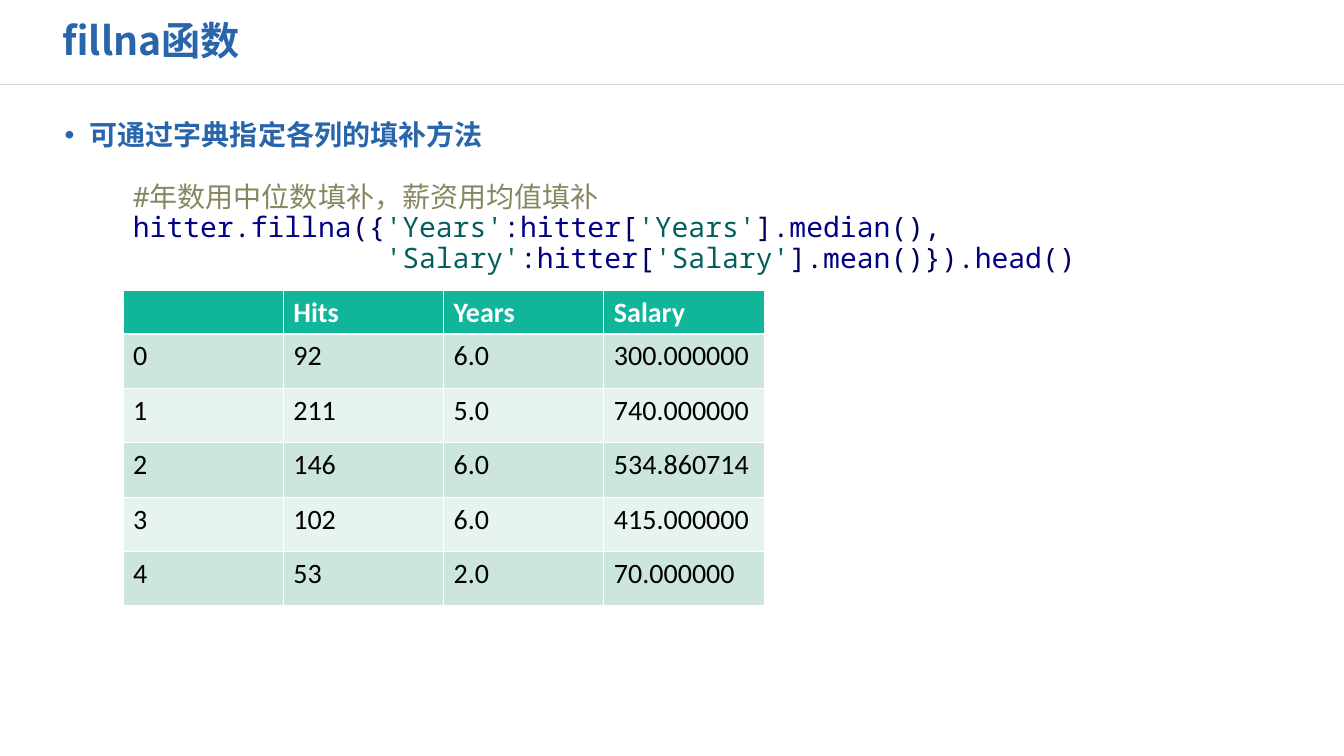
"""Build the slide on the fillna function, with its code sample and result table."""
from lxml.etree import SubElement
from pptx import Presentation
from pptx.dml.color import RGBColor
from pptx.enum.shapes import MSO_CONNECTOR
from pptx.enum.text import MSO_ANCHOR, MSO_AUTO_SIZE, PP_ALIGN
from pptx.oxml.ns import qn
from pptx.util import Inches, Pt

COLORS = {
    "heading": "2965AB", "divider": "D9D9D9", "comment": "87875F",
    "name": "000087", "string": "005F5F", "punctuation": "00005F",
    "header": "11B59A", "band_dark": "CCE5DE", "band_light": "E7F3EF",
    "white": "FFFFFF", "black": "000000",
}
CJK_FONT = "Noto Sans CJK SC"
CODE_LINES = [
    ["#年数用中位数填补，薪资用均值填补"],
    ["hitter", ".", "fillna", "({", "'Years'", ":", "hitter", "[", "'Years'", "].", "median", "(),"],
    ["               ", "'Salary'", ":", "hitter", "[", "'Salary'", "].", "mean", "()}).", "head", "()"],
]
TABLE_ROWS = [
    ["", "Hits", "Years", "Salary"],
    ["0", "92", "6.0", "300.000000"],
    ["1", "211", "5.0", "740.000000"],
    ["2", "146", "6.0", "534.860714"],
    ["3", "102", "6.0", "415.000000"],
    ["4", "53", "2.0", "70.000000"],
]


def color(name):
    return RGBColor.from_string(COLORS[name])


def set_font(paragraph, font_name, size, color_name=None, bold=False):
    font = paragraph.font
    font.name, font.size, font.bold = font_name, Pt(size), bold
    if color_name:
        font.color.rgb = color(color_name)
    properties = paragraph._p.pPr.find(qn("a:defRPr"))
    SubElement(properties, qn("a:ea"), typeface=CJK_FONT)


presentation = Presentation()
presentation.slide_width, presentation.slide_height = Inches(13.33), Inches(7.5)
slide = presentation.slides.add_slide(presentation.slide_layouts[1])

divider = slide.shapes.add_connector(
    MSO_CONNECTOR.STRAIGHT, Inches(0), Inches(0.84), Inches(13.33), Inches(0.84))
divider.line.color.rgb = color("divider")
divider.line.width = Pt(1)
SubElement(divider._element.spPr, qn("a:effectLst"))

title, body = slide.shapes.title, slide.placeholders[1]
headings = [
    (title, "fillna函数", 28, MSO_ANCHOR.MIDDLE, (0.52, 0.13, 5.32, 0.58)),
    (body, "可通过字典指定各列的填补方法", 20, MSO_ANCHOR.TOP, (0.54, 1.15, 8.17, 5.35)),
]
for shape, text, size, anchor, box in headings:
    shape.left, shape.top, shape.width, shape.height = map(Inches, box)
    frame = shape.text_frame
    frame.text = text
    frame.auto_size = MSO_AUTO_SIZE.NONE
    frame.vertical_anchor = anchor
    paragraph = frame.paragraphs[0]
    paragraph.alignment = PP_ALIGN.LEFT
    paragraph.line_spacing = 0.9
    paragraph.space_before = Pt(0)
    if shape is body:
        properties = paragraph._p.get_or_add_pPr()
        properties.set("marL", str(Inches(0.25)))
        properties.set("indent", str(Inches(-0.25)))
        SubElement(properties, qn("a:buFont"), typeface="Arial")
        SubElement(properties, qn("a:buChar"), char="•")
    set_font(paragraph, CJK_FONT, size, "heading", bold=True)

code_box = slide.shapes.add_textbox(Inches(1.22), Inches(1.77), Inches(9.67), Inches(1.11))
code_frame = code_box.text_frame
code_frame.word_wrap = True
for index, tokens in enumerate(CODE_LINES):
    paragraph = code_frame.add_paragraph() if index else code_frame.paragraphs[0]
    paragraph.line_spacing = 0.9
    set_font(paragraph, "Noto Sans Mono", 20)
    for token in tokens:
        run = paragraph.add_run()
        run.text = token
        if token.startswith("#"):
            kind = "comment"
        elif token.startswith("'"):
            kind = "string"
        else:
            kind = "name" if token.isalpha() else "punctuation"
        run.font.color.rgb = color(kind)

table = slide.shapes.add_table(
    len(TABLE_ROWS), len(TABLE_ROWS[0]),
    Inches(1.22), Inches(2.88), Inches(6.36), Inches(3.13)).table
for row_index, values in enumerate(TABLE_ROWS):
    is_header = row_index == 0
    table.rows[row_index].height = Inches(0.43 if is_header else 0.54)
    band = "header" if is_header else "band_dark" if row_index % 2 else "band_light"
    for column_index, value in enumerate(values):
        cell = table.cell(row_index, column_index)
        cell.fill.solid()
        cell.fill.fore_color.rgb = color(band)
        cell.text = value
        set_font(cell.text_frame.paragraphs[0], "Calibri", 20,
                 "white" if is_header else "black", bold=is_header)

presentation.save("out.pptx")
